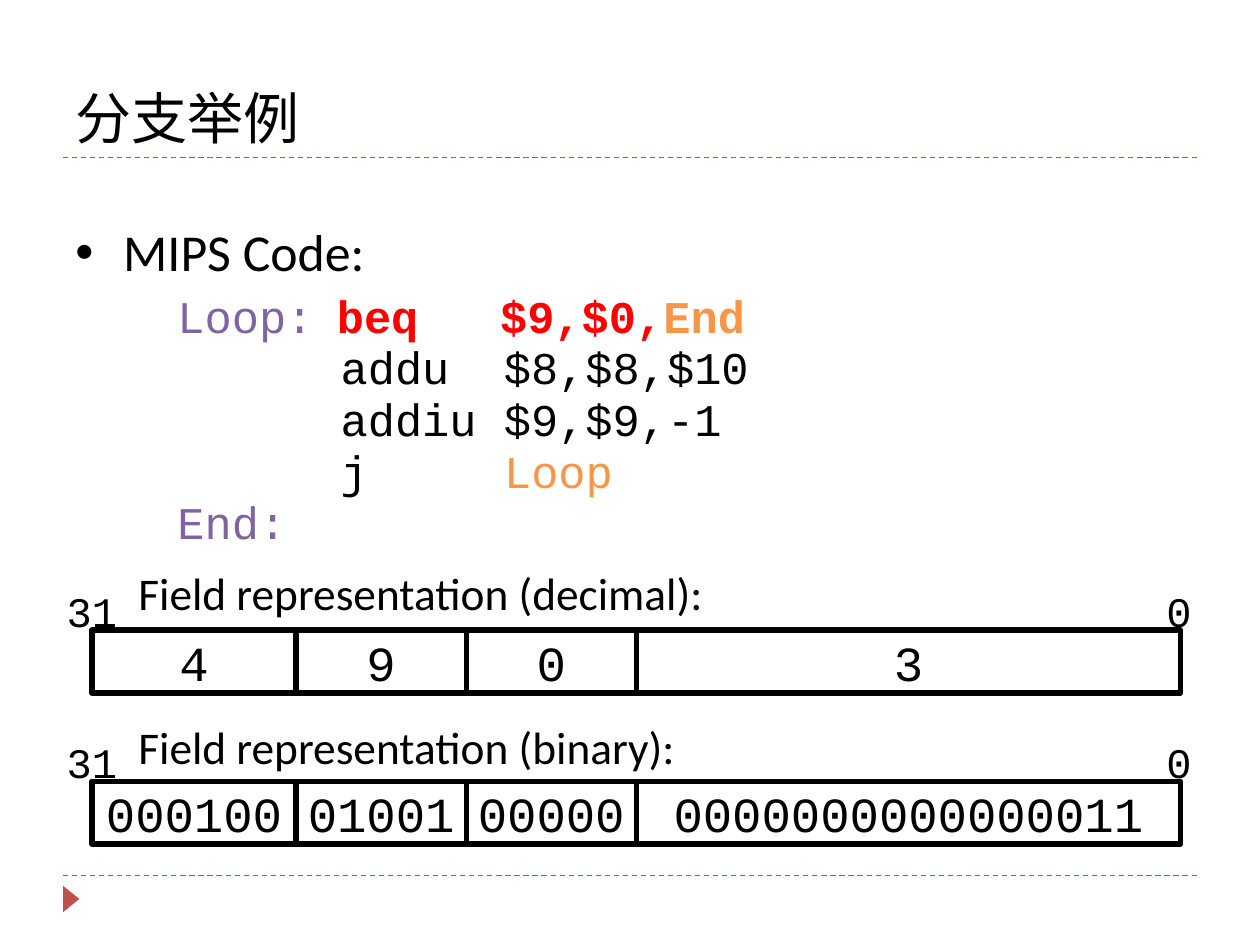
from dataclasses import dataclass

import pptx
import pptx.dml.color
import pptx.enum.dml
import pptx.enum.shapes
import pptx.enum.text
import pptx.oxml.ns
import pptx.util
from lxml import etree

COLORS = {
    "text": "000000",
    "accent": "C0504D",
    "label": "8064A2",
    "branch": "FF0000",
    "target": "F79646",
}
BODY_FONT = "Calibri"
CODE_FONT = "Courier New"
WIDTH, HEIGHT = 10, 7.5
MARGIN = 0.05 * WIDTH
BIT_WIDTH = 0.27
FIELD_LEFT = 0.73
FIELD_HEIGHT = 0.5
LABEL_RISE = 0.4
WORD_BITS = 32
FIELD_BITS = (6, 5, 5, 16)

Inches = pptx.util.Inches
Pt = pptx.util.Pt


@dataclass(frozen=True)
class Span:
    text: str
    color: str = "text"
    size: float = 25.9
    font: str = CODE_FONT
    bold: bool = False


@dataclass(frozen=True)
class WordRow:
    top: float
    values: tuple[str, ...]


CODE_LINES = (
    (
        Span("Loop:", "label"),
        Span(" ", size=22.2),
        Span("beq   $9,$0,", "branch", bold=True),
        Span("End", "target", bold=True),
    ),
    (Span("      addu  $8,$8,$10"),),
    (Span("      addiu $9,$9,-1"),),
    (Span("      j     "), Span("Loop", "target")),
    (Span("End:", "label"),),
)
WORD_ROWS = (
    WordRow(5.0, ("4", "9", "0", "3")),
    WordRow(6.2, ("000100", "01001", "00000", "0000000000000011")),
)
CAPTIONS = (
    ("Field representation (decimal):", 12),
    ("Field representation (binary):", 60),
)


def rgb(name: str) -> pptx.dml.color.RGBColor:
    return pptx.dml.color.RGBColor.from_string(COLORS[name])


def add_span(para, span: Span) -> None:
    run = para.add_run()
    run.text = span.text
    run.font.name = span.font
    run.font.size = Pt(span.size)
    run.font.bold = span.bold
    run.font.color.rgb = rgb(span.color)


def set_layout(para, left: float, first: float, spacing: float, before: float = 0) -> None:
    properties = para._p.get_or_add_pPr()
    properties.set("marL", str(Inches(left)))
    properties.set("indent", str(Inches(first)))
    para.line_spacing = spacing
    para.space_before = Pt(before)


def add_bullet(para) -> None:
    properties = para._p.get_or_add_pPr()
    font = etree.SubElement(properties, pptx.oxml.ns.qn("a:buFont"))
    font.set("typeface", "Arial")
    bullet = etree.SubElement(properties, pptx.oxml.ns.qn("a:buChar"))
    bullet.set("char", "•")


def add_rule(page, top: float) -> None:
    rule = page.shapes.add_connector(
        pptx.enum.shapes.MSO_CONNECTOR.STRAIGHT,
        Inches(MARGIN), Inches(top), Inches(WIDTH - MARGIN), Inches(top),
    )
    rule.line.color.rgb = rgb("accent")
    rule.line.width = Pt(0.75)
    rule.line.dash_style = pptx.enum.dml.MSO_LINE.DASH
    etree.SubElement(rule._element.spPr, pptx.oxml.ns.qn("a:effectLst"))


def add_marker(page) -> None:
    marker = page.shapes.add_shape(
        pptx.enum.shapes.MSO_SHAPE.ISOSCELES_TRIANGLE,
        Inches(0.46), Inches(7.07), Inches(0.21), Inches(0.13),
    )
    marker.rotation = 90
    marker.shadow.inherit = False
    marker.fill.solid()
    marker.fill.fore_color.rgb = rgb("accent")
    marker.line.fill.background()


def set_title(page, text: str) -> None:
    title = page.shapes.title
    title.left, title.top = Inches(MARGIN), Inches(0.17)
    title.width, title.height = Inches(WIDTH - 2 * MARGIN), Inches(1.08)
    title.text_frame.vertical_anchor = pptx.enum.text.MSO_ANCHOR.BOTTOM
    para = title.text_frame.paragraphs[0]
    para.alignment = pptx.enum.text.PP_ALIGN.LEFT
    add_span(para, Span(text, size=32, font=BODY_FONT))


def add_body(page) -> None:
    box = page.shapes.add_textbox(
        Inches(MARGIN), Inches(1.75), Inches(WIDTH - 2 * MARGIN), Inches(5.4)
    )
    frame = box.text_frame
    frame.word_wrap = True

    heading = frame.paragraphs[0]
    add_bullet(heading)
    set_layout(heading, 0.38, -0.38, 0.9)
    add_span(heading, Span("MIPS Code:", size=29.6, font=BODY_FONT))

    code = frame.add_paragraph()
    set_layout(code, 0.81, 0, 0.95, 5.2)
    for number, line in enumerate(CODE_LINES):
        if number:
            code.add_line_break()
        for span in line:
            add_span(code, span)

    for text, before in CAPTIONS:
        caption = frame.add_paragraph()
        set_layout(caption, 0.5, 0, 0.9, before)
        add_span(caption, Span(text, font=BODY_FONT))


def add_field(group, left: float, top: float, bits: int, value: str) -> None:
    field = group.shapes.add_shape(
        pptx.enum.shapes.MSO_SHAPE.RECTANGLE,
        Inches(left), Inches(top), Inches(bits * BIT_WIDTH), Inches(FIELD_HEIGHT),
    )
    field.shadow.inherit = False
    field.fill.background()
    field.line.color.rgb = rgb("text")
    field.line.width = Pt(3)
    frame = field.text_frame
    frame.word_wrap = True
    frame.vertical_anchor = pptx.enum.text.MSO_ANCHOR.MIDDLE
    if len(value) == 5:
        frame.margin_left = frame.margin_right = 0
    frame.paragraphs[0].alignment = pptx.enum.text.PP_ALIGN.CENTER
    add_span(frame.paragraphs[0], Span(value, size=28))


def add_bit_label(group, left: float, top: float, width: float, text: str) -> None:
    box = group.shapes.add_textbox(
        Inches(left), Inches(top), Inches(width), Inches(FIELD_HEIGHT)
    )
    box.text_frame.word_wrap = False
    add_span(box.text_frame.paragraphs[0], Span(text, size=24))


def add_word_row(page, row: WordRow) -> None:
    group = page.shapes.add_group_shape()
    for index, (bits, value) in enumerate(zip(FIELD_BITS, row.values)):
        left = FIELD_LEFT + sum(FIELD_BITS[:index]) * BIT_WIDTH
        add_field(group, left, row.top, bits, value)
    label_top = row.top - LABEL_RISE
    right = FIELD_LEFT + WORD_BITS * BIT_WIDTH
    add_bit_label(group, FIELD_LEFT - 0.3, label_top, 0.61, str(WORD_BITS - 1))
    add_bit_label(group, right - 0.21, label_top, 0.4, "0")


def main() -> None:
    deck = pptx.Presentation()
    deck.slide_width, deck.slide_height = Inches(WIDTH), Inches(HEIGHT)
    page = deck.slides.add_slide(deck.slide_layouts.get_by_name("Title Only"))
    add_rule(page, 6.95)
    add_marker(page)
    add_rule(page, 1.25)
    set_title(page, "分支举例")
    add_body(page)
    for row in WORD_ROWS:
        add_word_row(page, row)
    deck.save("out.pptx")


if __name__ == "__main__":
    main()
